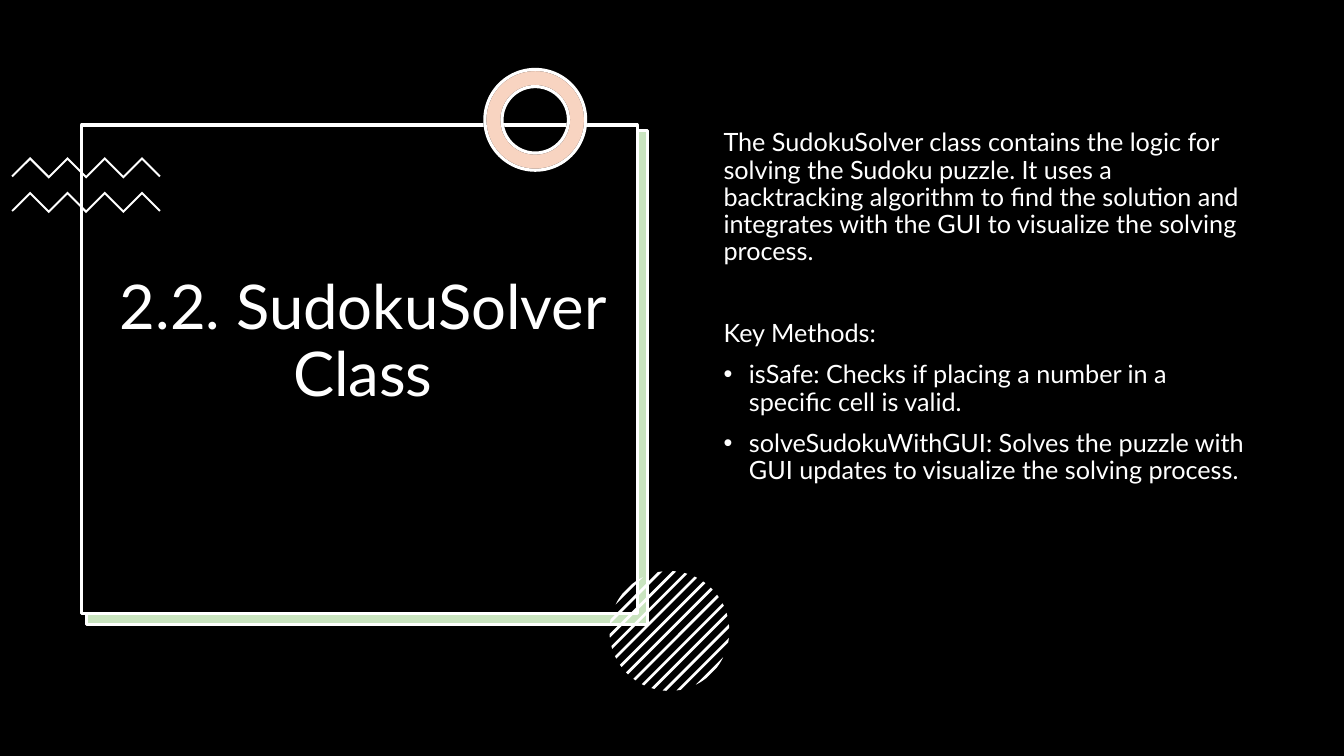
"""Build the SudokuSolver class slide."""
import dataclasses
import math

import lxml.etree
import pptx
import pptx.dml.color
import pptx.enum.shapes
import pptx.enum.text
import pptx.oxml.ns
import pptx.util

Cm = pptx.util.Cm
Pt = pptx.util.Pt
KIND = pptx.enum.shapes.MSO_SHAPE


@dataclasses.dataclass(frozen=True)
class Theme:
    font: str = "Lato"
    dark: str = "000000"
    light: str = "FFFFFF"
    green: str = "4EA72E"
    orange: str = "E97132"
    head: float = 44
    body: float = 18
    line: float = 2.25


THEME = Theme()
TITLE = "2.2. SudokuSolver Class"
INTRO = (
    "The SudokuSolver class contains the logic for solving the Sudoku puzzle. "
    "It uses a backtracking algorithm to find the solution and integrates with "
    "the GUI to visualize the solving process."
)
LABEL = "Key Methods:"
ITEMS = [
    "isSafe: Checks if placing a number in a specific cell is valid.",
    "solveSudokuWithGUI: Solves the puzzle with GUI updates to visualize "
    "the solving process.",
]


def paint(fill, color):
    fill.solid()
    fill.fore_color.rgb = pptx.dml.color.RGBColor.from_string(color)


def add_tag(node, name, **attrs):
    return lxml.etree.SubElement(node, pptx.oxml.ns.qn(name), **attrs)


def style(shape, fill, line=None, alpha=None):
    shape.shadow.inherit = False
    paint(shape.fill, fill)
    if alpha:
        color = shape.element.spPr.find(pptx.oxml.ns.qn("a:solidFill"))[0]
        add_tag(color, "a:alpha", val=str(alpha * 1000))
    if line:
        paint(shape.line.fill, line)
        shape.line.width = Pt(THEME.line)
    else:
        shape.line.fill.background()


def add_box(slide, kind, box, fill, line=None, alpha=None):
    shape = slide.shapes.add_shape(kind, *map(Cm, box))
    style(shape, fill, line, alpha)
    return shape


def add_ring(slide, fill, line, alpha=None):
    ring = add_box(slide, KIND.DONUT, (12.22, 1.75, 2.54, 2.54), fill, line, alpha)
    ring.adjustments[0] = 0.17


def add_path(slide, points):
    first, *rest = [(Cm(x), Cm(y)) for x, y in points]
    maker = slide.shapes.build_freeform(*first)
    maker.add_line_segments(rest, close=True)
    shape = maker.convert_to_shape()
    style(shape, THEME.light)
    return shape


def add_wave(slide, left, top):
    step, rise, thick, count = 0.47, 0.47, 0.07, 8
    upper = [
        (left + k * step, top + (0 if k % 2 else rise)) for k in range(count + 1)
    ]
    lower = [(x, y + thick) for x, y in upper[-2:0:-1]]
    (x0, y0), (x1, y1) = upper[0], upper[-1]
    half = thick / 2
    ends = [(x1 - half, y1 + half)], [(x0 + half, y0 + half)]
    return add_path(slide, upper + ends[0] + lower + ends[1])


def add_stripe(slide, mid, radius, shift):
    half, parts = 0.035, 4

    def rim(dist, side):
        turn = math.pi / 4 + side * math.acos(dist / radius)
        return mid[0] + radius * math.cos(turn), mid[1] + radius * math.sin(turn)

    dists = [shift + half * (2 * n / parts - 1) for n in range(parts + 1)]
    return add_path(
        slide, [rim(d, -1) for d in dists] + [rim(d, 1) for d in reversed(dists)]
    )


def add_disc(slide):
    shapes = [
        add_stripe(slide, (16.87, 15.9), 1.51, n * 0.244) for n in range(-6, 7)
    ]
    slide.shapes.add_group_shape(shapes)


def place(shape, box):
    shape.left, shape.top, shape.width, shape.height = map(Cm, box)
    shape.element.getparent().append(shape.element)
    frame = shape.text_frame
    frame.word_wrap = True
    frame.auto_size = pptx.enum.text.MSO_AUTO_SIZE.NONE
    return frame


def write(para, text, size, before=0):
    para.text = text
    para.line_spacing = 0.9
    para.space_before = Pt(before)
    para.font.name = THEME.font
    para.font.size = Pt(size)
    para.font.color.rgb = pptx.dml.color.RGBColor.from_string(THEME.light)


def set_mark(para, mark=None):
    props = para._p.get_or_add_pPr()
    indent = Cm(0.64) if mark else 0
    props.set("marL", str(indent))
    props.set("indent", str(-indent))
    tag = "a:buChar" if mark else "a:buNone"
    node = add_tag(props, tag, **({"char": mark} if mark else {}))
    props.remove(node)
    props.insert_element_before(node, "a:tabLst", "a:defRPr", "a:extLst")


def add_title(slide):
    frame = place(slide.shapes.title, (2.34, 3.86, 13.61, 11.23))
    frame.vertical_anchor = pptx.enum.text.MSO_ANCHOR.MIDDLE
    frame.margin_bottom = Cm(1.8)
    para = frame.paragraphs[0]
    write(para, TITLE, THEME.head)
    para.alignment = pptx.enum.text.PP_ALIGN.CENTER


def add_body(slide):
    frame = place(slide.placeholders[1], (17.98, 3.15, 13.82, 12.09))
    rows = [(INTRO, 10, None), (LABEL, 39, None)]
    rows += [(item, 10, "•") for item in ITEMS]
    for n, (text, before, mark) in enumerate(rows):
        para = frame.add_paragraph() if n else frame.paragraphs[0]
        write(para, text, THEME.body, before)
        set_mark(para, mark)


def main():
    deck = pptx.Presentation()
    deck.slide_width, deck.slide_height = Cm(33.87), Cm(19.05)
    slide = deck.slides.add_slide(deck.slide_layouts[1])
    paint(slide.background.fill, THEME.dark)
    rect = KIND.RECTANGLE
    add_box(slide, rect, (2.16, 3.3, 14.15, 12.45), THEME.light)
    add_box(slide, rect, (2.18, 3.28, 14.15, 12.45), THEME.green, THEME.light, 30)
    add_box(slide, rect, (2.06, 3.15, 14, 12.32), THEME.dark, THEME.light)
    slide.shapes.add_group_shape([add_wave(slide, 0.29, y) for y in (3.96, 4.83)])
    add_ring(slide, THEME.light, THEME.dark)
    add_ring(slide, THEME.orange, THEME.light, 30)
    add_disc(slide)
    add_title(slide)
    add_body(slide)
    deck.save("out.pptx")


if __name__ == "__main__":
    main()
